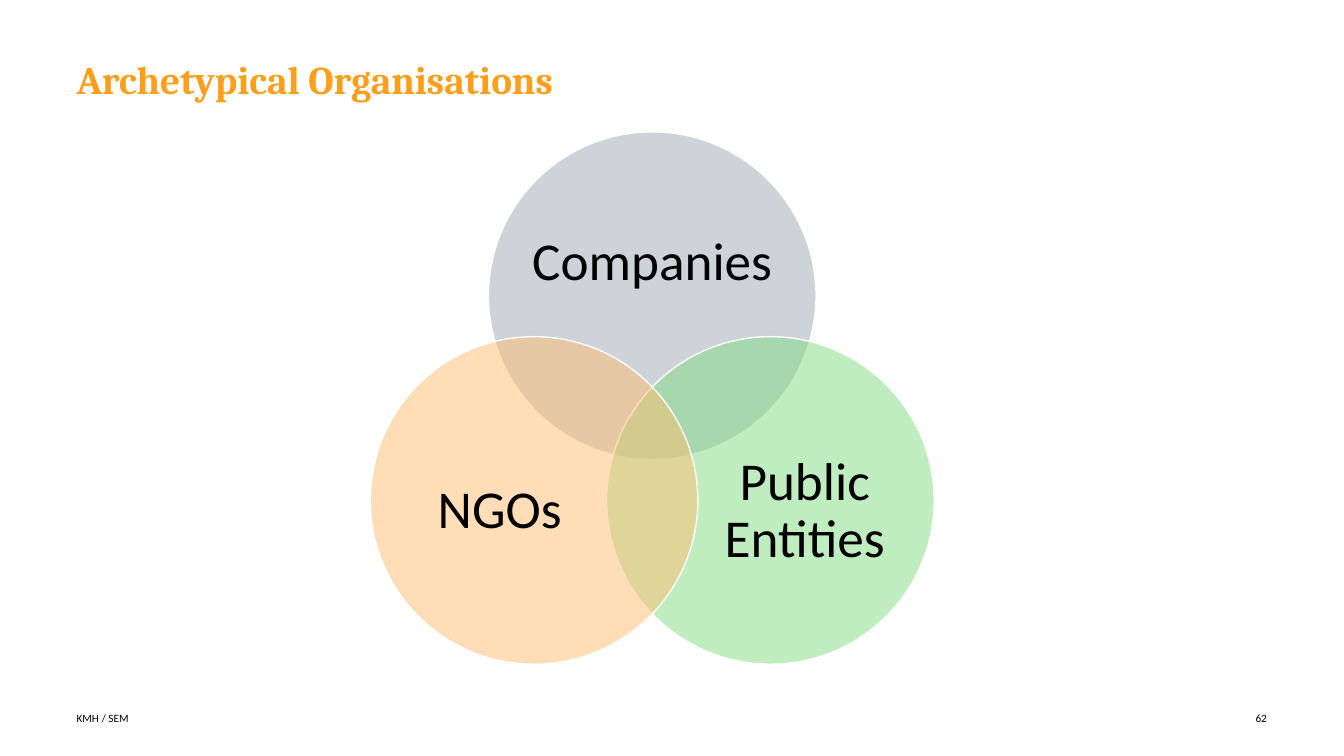
from math import cos, radians, sin

from lxml import etree
from pptx import Presentation
from pptx.dml.color import RGBColor
from pptx.enum.shapes import MSO_SHAPE
from pptx.enum.text import MSO_ANCHOR, PP_ALIGN
from pptx.oxml.ns import qn
from pptx.util import Pt

OVAL = MSO_SHAPE.OVAL
TOP, MIDDLE = MSO_ANCHOR.TOP, MSO_ANCHOR.MIDDLE
LEFT, CENTER, RIGHT = PP_ALIGN.LEFT, PP_ALIGN.CENTER, PP_ALIGN.RIGHT

# Content
TITLE = "Archetypical Organisations"
# label, fill, angle from the middle, label box relative to its circle
CIRCLES = [
    ("Companies", "9CA8B2", -90, (27, 41, 180, 105.1)),
    ("Public Entities", "83DC83", 30, (71.3, 60.5, 140.4, 128.9)),
    ("NGOs", "FFBF71", 150, (22.3, 60.5, 140.4, 128.9)),
]
FOOTERS = [
    ("KMH / SEM", LEFT, (54.7, 506.9, 402.5, 11.5)),
    ("62", RIGHT, (865.4, 506.9, 39.6, 11.5)),
]

# Geometry of the Venn diagram
MID_X, MID_Y = 465.9, 308.7
DIAMETER = 234
ORBIT = DIAMETER * 5 / 12


def rgb(value):
    return RGBColor.from_string(value)


def place(box):
    return [Pt(v) for v in box]


def write(sp, text, size, align, anchor=MIDDLE, font="Calibri",
          color="000000", bold=False, spacing=1.0):
    tf = sp.text_frame
    tf.word_wrap = True
    tf.vertical_anchor = anchor
    tf.margin_left = tf.margin_top = tf.margin_right = tf.margin_bottom = 0
    p = tf.paragraphs[0]
    p.text = text
    p.alignment = align
    p.line_spacing = spacing
    p.font.name = font
    p.font.size = Pt(size)
    p.font.bold = bold
    p.font.color.rgb = rgb(color)


def add_circle(s, x, y, color):
    sp = s.shapes.add_shape(OVAL, *place((x, y, DIAMETER, DIAMETER)))
    sp.shadow.inherit = False
    sp.fill.solid()
    sp.fill.fore_color.rgb = rgb(color)
    sp.line.color.rgb = rgb("FFFFFF")
    sp.line.width = Pt(1)
    # Half-transparent fill
    clr = sp.fill._xPr.find(qn("a:solidFill"))[0]
    etree.SubElement(clr, qn("a:alpha"), val="50000")


prs = Presentation()
prs.slide_width, prs.slide_height = Pt(960), Pt(540)
s = prs.slides.add_slide(prs.slide_layouts[5])

# Title
title = s.shapes.title
title.left, title.top, title.width, title.height = place((54.7, 43.2, 702.7, 62.6))
write(title, TITLE, 28, LEFT, TOP, "Cambria", "FF9E1B", True, 0.9)

# Circles with their labels
for label, color, angle, (dx, dy, w, h) in CIRCLES:
    x = MID_X + ORBIT * cos(radians(angle)) - DIAMETER / 2
    y = MID_Y + ORBIT * sin(radians(angle)) - DIAMETER / 2
    add_circle(s, x, y, color)
    tb = s.shapes.add_textbox(*place((x + dx, y + dy, w, h)))
    write(tb, label, 38, CENTER, spacing=0.9)

# Footer and page number
for text, align, box in FOOTERS:
    write(s.shapes.add_textbox(*place(box)), text, 8, align)

prs.save("out.pptx")
